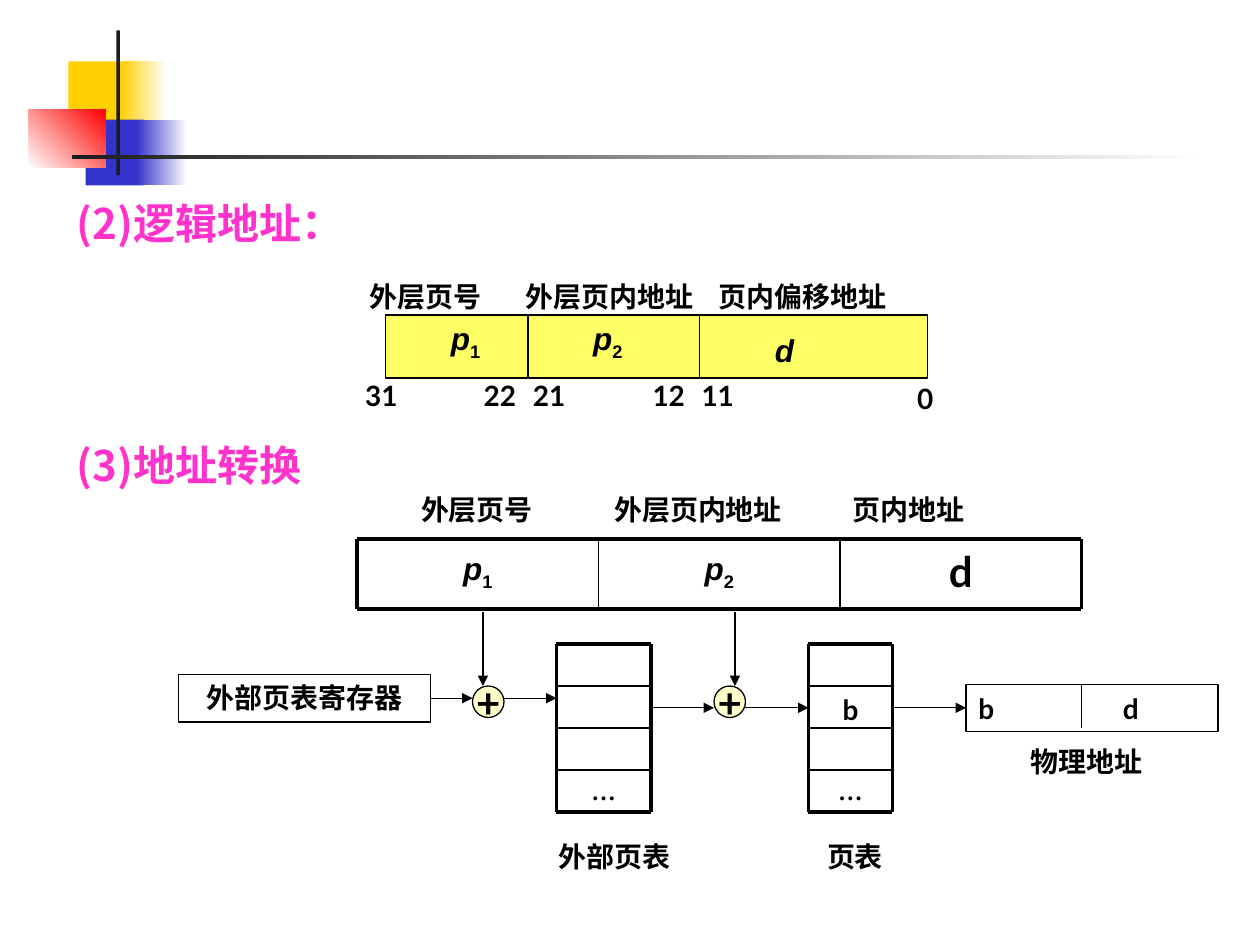
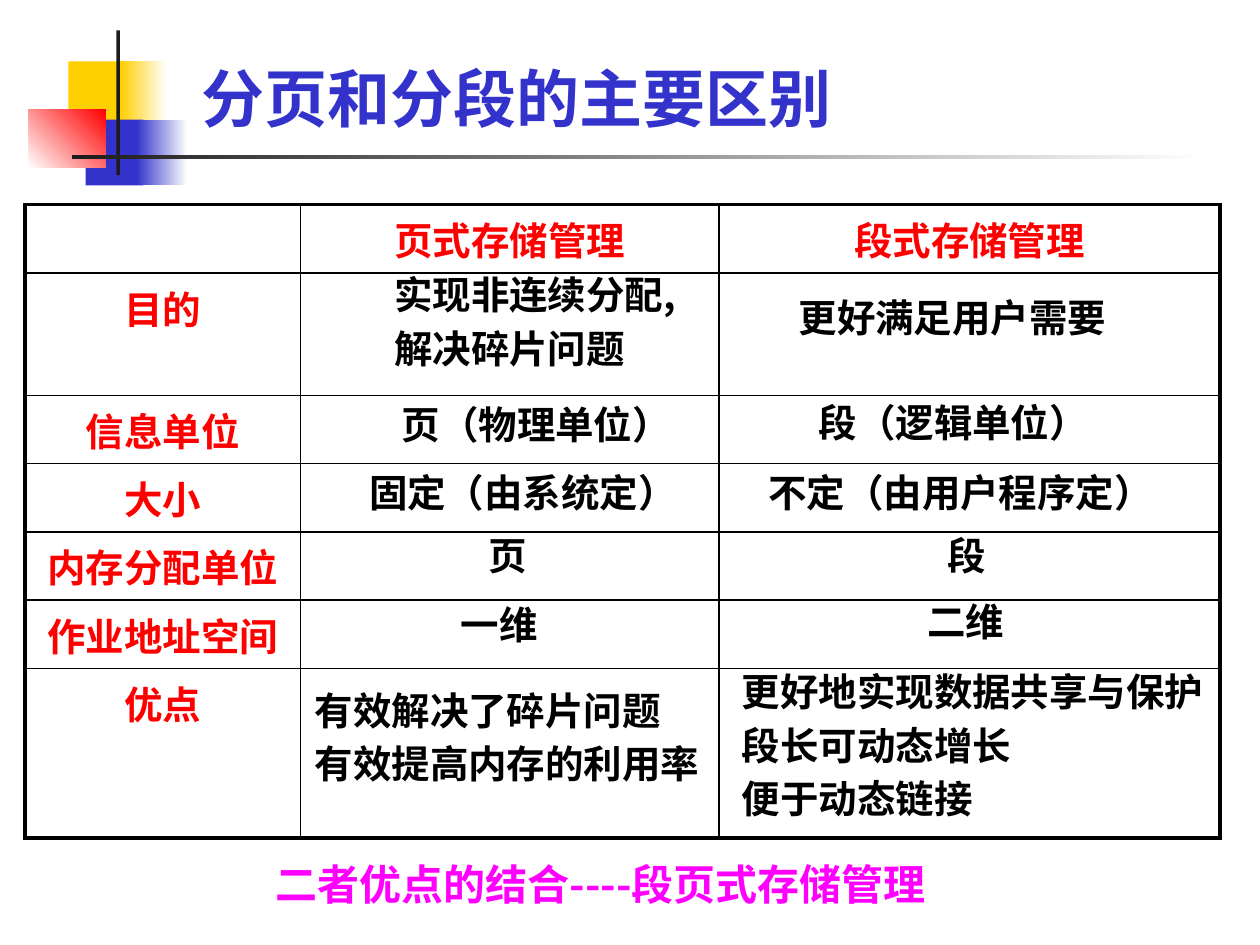
from dataclasses import dataclass

from lxml import etree
from pptx import Presentation
from pptx import util as u
from pptx.dml.color import RGBColor
from pptx.enum import shapes, text
from pptx.oxml import ns


@dataclass(frozen=True)
class Theme:
    black: str = "000000"
    white: str = "FFFFFF"
    ink: str = "1C1C1C"
    blue: str = "3333CC"
    yellow: str = "FFCF01"
    red: str = "FF0000"
    pink: str = "FF33CC"
    magenta: str = "FF00FF"
    field: str = "FFFF66"
    adder: str = "FFFFCC"
    heading: str = "Noto Sans CJK SC"
    label: str = "Lato"
    symbol: str = "Arial"
    serif: str = "Times New Roman"
    title_size: int = 36
    head_size: int = 24
    table_size: int = 22
    symbol_size: int = 18
    label_size: int = 16
    dots_size: int = 14
    thin: float = 0.75
    rule: float = 1
    thick: float = 2.25


theme = Theme()
LEFT, CENTER = text.PP_ALIGN.LEFT, text.PP_ALIGN.CENTER
TOP, MIDDLE, BOTTOM = text.MSO_ANCHOR.TOP, text.MSO_ANCHOR.MIDDLE, text.MSO_ANCHOR.BOTTOM
RECT, OVAL = shapes.MSO_SHAPE.RECTANGLE, shapes.MSO_SHAPE.OVAL


def write(frame, lines, size=theme.label_size, face=theme.label, color=theme.black, align=LEFT,
          anchor=TOP, wrap=True, italic=False, spacing=None, before=0):
    frame.word_wrap = wrap
    frame.vertical_anchor = anchor
    for index, line in enumerate(lines):
        para = frame.add_paragraph() if index else frame.paragraphs[0]
        para.alignment = align
        if index and before:
            para.space_before = u.Pt(before)
        if spacing:
            para.line_spacing = spacing
        font = para.font
        font.size, font.name, font.bold = u.Pt(size), face, True
        font.color.rgb = RGBColor.from_string(color)
        etree.SubElement(font._element, ns.qn("a:ea"), typeface=theme.label)
        base, _, subscript = line.partition("_")
        for part in filter(None, (base, subscript)):
            span = para.add_run()
            span.text = part
            span.font._element.set("lang", "zh-CN")
            if italic:
                span.font.italic = part is base
        if subscript:
            span.font._element.set("baseline", "-25000")


def connect(page, x1, y1, x2, y2, width=theme.thin, arrow=False):
    connector = page.shapes.add_connector(
        shapes.MSO_CONNECTOR.STRAIGHT, *map(u.Pt, (x1, y1, x2, y2)))
    connector.line.color.rgb = RGBColor.from_string(theme.black)
    connector.line.width = u.Pt(width)
    properties = connector._element.spPr
    if arrow:
        etree.SubElement(properties.get_or_add_ln(), ns.qn("a:tailEnd"), type="triangle")
    etree.SubElement(properties, ns.qn("a:effectLst"))
    return connector


deck = Presentation()
deck.slide_width, deck.slide_height = u.Pt(720), u.Pt(540)
address_page, compare_page = [deck.slides.add_slide(deck.slide_layouts[6]) for _ in range(2)]

ornaments = [
    ((39, 35, 34.5, 37.5), theme.yellow, None, 0),
    ((69, 35, 26, 37.5), theme.yellow, theme.white, 0),
    ((49, 68.4, 33, 37.5), theme.blue, None, 0),
    ((78, 68.4, 29, 37.5), theme.blue, theme.white, 0),
    ((16.5, 62.5, 44, 33.5), theme.white, theme.red, 45),
    ((66.5, 17.3, 2, 82.8), theme.ink, None, 0),
    ((41, 88.6, 648, 2.5), theme.ink, theme.white, 0),
]
for page in deck.slides:
    for place, start, end, angle in ornaments:
        ornament = page.shapes.add_shape(RECT, *map(u.Pt, place))
        ornament.shadow.inherit = False
        ornament.line.fill.background()
        if end:
            ornament.fill.gradient()
            ornament.fill.gradient_angle = angle
            for stop, color in zip(ornament.fill.gradient_stops, (start, end)):
                stop.color.rgb = RGBColor.from_string(color)
        else:
            ornament.fill.solid()
            ornament.fill.fore_color.rgb = RGBColor.from_string(start)

page = address_page
headings = page.shapes.add_textbox(*map(u.Pt, (36.7, 102.2, 635, 389)))
write(headings.text_frame, ["(2)逻辑地址：", "(3)地址转换"], theme.head_size, theme.heading,
      theme.pink, spacing=u.Pt(36), before=102)

boxes = {}
for name, kind, place, fill in [
    ("field", RECT, (220.3, 180, 309.6, 36), theme.field),
    ("register", RECT, (102, 385.5, 144, 27), None),
    ("outer adder", OVAL, (270, 392, 18, 18), theme.adder),
    ("inner adder", OVAL, (408, 392, 18, 18), theme.adder),
    ("physical", RECT, (552, 391, 144, 27), None),
]:
    box = page.shapes.add_shape(kind, *map(u.Pt, place))
    box.shadow.inherit = False
    box.line.color.rgb = RGBColor.from_string(theme.black)
    box.line.width = u.Pt(theme.thin)
    if fill:
        box.fill.solid()
        box.fill.fore_color.rgb = RGBColor.from_string(fill)
    else:
        box.fill.background()
    boxes[name] = box

write(boxes["register"].text_frame, ["外部页表寄存器"], align=CENTER)
for name in ("outer adder", "inner adder"):
    write(boxes[name].text_frame, ["+"], theme.head_size, align=CENTER, anchor=MIDDLE, wrap=False)

for divider in (301.7, 399.6):
    connect(page, divider, 180, divider, 216)
connect(page, 618, 391.7, 618, 416)

for left, top, columns, rows, width, height in [
    (204, 308, 3, 1, 138, 40),
    (318, 368, 1, 4, 54, 24),
    (462, 368, 1, 4, 48, 24),
]:
    right, bottom = left + columns * width, top + rows * height
    for row in range(rows + 1):
        y = top + row * height
        connect(page, left, y, right, y, theme.thick if row in (0, rows) else theme.rule)
    for column in range(columns + 1):
        x = left + column * width
        connect(page, x, top, x, bottom, theme.thick if column in (0, columns) else theme.rule)

for x in (276, 420):
    connect(page, x, 350, x, 392, arrow=True)
arrows = [connect(page, start, y, end, y, arrow=True) for start, end, y in [
    (246, 270, 399), (288, 318, 399), (372, 408, 404.5), (426, 462, 404.5), (510, 552, 404.5),
]]
arrows[0].begin_connect(boxes["register"], 3)
arrows[-1].end_connect(boxes["physical"], 1)

labels = [
    ("外层页号", 233.5, 278, 90), ("外层页内地址", 344, 278, 125), ("页内地址", 480.3, 278, 90),
    ("外部页表", 312, 476, 90), ("页表", 465.5, 476, 60), ("物理地址", 582, 422, 90),
    ("b", 552, 391.7, 40), ("d", 634.5, 391.7, 40),
    ("31", 201.6, 213, 40), ("22", 269.3, 213, 40), ("21", 297.4, 213, 40),
    ("12", 365.8, 213, 40), ("11", 393.8, 213, 40), ("0", 517, 214.5, 25),
]
for label, left, top, width in labels:
    box = page.shapes.add_textbox(*map(u.Pt, (left, top, width, 26.6)))
    write(box.text_frame, [label])
for label, left, width in [("外层页号", 204.2, 90), ("外层页内地址", 293.3, 125),
                           ("页内偏移地址", 403.7, 125)]:
    box = page.shapes.add_textbox(*map(u.Pt, (left, 156.2, width, 26.6)))
    write(box.text_frame, [label], face=theme.serif)

for symbol, left, top, width in [("p_1", 249.8, 180, 32.4), ("p_2", 331.2, 180, 32.4),
                                 ("d", 435.6, 185.8, 25.2)]:
    box = page.shapes.add_textbox(*map(u.Pt, (left, top, width, 28.8)))
    write(box.text_frame, [symbol], theme.symbol_size, theme.symbol, align=CENTER,
          anchor=MIDDLE, wrap=False, italic=True)
for column, symbol in enumerate(("p_1", "p_2")):
    box = page.shapes.add_textbox(*map(u.Pt, (204 + column * 138, 308, 138, 40)))
    write(box.text_frame, [symbol], theme.symbol_size, theme.symbol, align=CENTER,
          italic=True, spacing=1.1)
for mark, place, size, face in [
    ("d", (480, 308, 138, 40), theme.head_size, theme.label),
    ("b", (462, 392, 48, 24), theme.label_size, theme.label),
    ("…", (318, 440, 54, 24), theme.dots_size, theme.serif),
    ("…", (462, 440, 48, 24), theme.dots_size, theme.serif),
]:
    box = page.shapes.add_textbox(*map(u.Pt, place))
    write(box.text_frame, [mark], size, face, align=CENTER)

page = compare_page
title = page.shapes.add_textbox(*map(u.Pt, (108, 26, 461.5, 54.7)))
write(title.text_frame, ["分页和分段的主要区别"], theme.title_size, theme.heading, theme.blue,
      anchor=BOTTOM)

widths, heights = (157.2, 239.3, 286.3), (39, 70, 39, 39, 39, 39, 97)
table = page.shapes.add_table(
    len(heights), len(widths), *map(u.Pt, (14.4, 117, sum(widths), sum(heights)))).table
table.first_row = table.horz_banding = False
for column, width in zip(table.columns, widths):
    column.width = u.Pt(width)
for row, height in zip(table.rows, heights):
    row.height = u.Pt(height)

captions = {(0, 1): "页式存储管理", (0, 2): "段式存储管理"}
for index, caption in enumerate(
        ("目的", "信息单位", "大小", "内存分配单位", "作业地址空间", "优点"), 1):
    captions[index, 0] = caption
for row in range(len(heights)):
    for column in range(len(widths)):
        cell = table.cell(row, column)
        cell.margin_top, cell.margin_bottom = u.Pt(7.5), u.Pt(3)
        if (row, column) in captions:
            write(cell.text_frame, [captions[row, column]], theme.table_size, theme.heading,
                  theme.red, align=CENTER)
        properties = cell._tc.get_or_add_tcPr()
        for side, outer in [("lnL", column == 0), ("lnR", column == len(widths) - 1),
                            ("lnT", row == 0), ("lnB", row == len(heights) - 1)]:
            width = u.Pt(theme.thick if outer else theme.rule)
            border = etree.SubElement(properties, ns.qn("a:" + side), w=str(int(width)))
            paint = etree.SubElement(border, ns.qn("a:solidFill"))
            etree.SubElement(paint, ns.qn("a:srgbClr"), val=theme.black)
        cell.fill.background()

answers = [
    (218.2, 151.2, 179.3, ["实现非连续分配,", "解决碎片问题"]),
    (449.3, 164.2, 190.8, ["更好满足用户需要"]),
    (222.5, 225.4, 168.5, ["页（物理单位）"]),
    (460.8, 224.6, 168.5, ["段（逻辑单位）"]),
    (203.8, 264.2, 190.8, ["固定（由系统定）"]),
    (432, 264.2, 234.7, ["不定（由用户程序定）"]),
    (272.2, 300.2, 36.7, ["页"]),
    (534.2, 300.2, 36.7, ["段"]),
    (256.3, 339.8, 58.3, ["一维"]),
    (522.7, 338.4, 58.3, ["二维"]),
    (172.8, 388.8, 234.7, ["有效解决了碎片问题", "有效提高内存的利用率"]),
    (416.9, 378, 278.6, ["更好地实现数据共享与保护", "段长可动态增长", "便于动态链接"]),
]
for left, top, width, lines in answers:
    box = page.shapes.add_textbox(*map(u.Pt, (left, top, width, 2.2 + 31.4 * len(lines))))
    write(box.text_frame, lines, theme.table_size, theme.heading, wrap=False, before=4.4)

summary = page.shapes.add_textbox(*map(u.Pt, (150.5, 486, 455.8, 36)))
write(summary.text_frame, ["二者优点的结合----段页式存储管理"], theme.head_size, theme.heading,
      theme.magenta, spacing=u.Pt(30))

deck.save("out.pptx")
